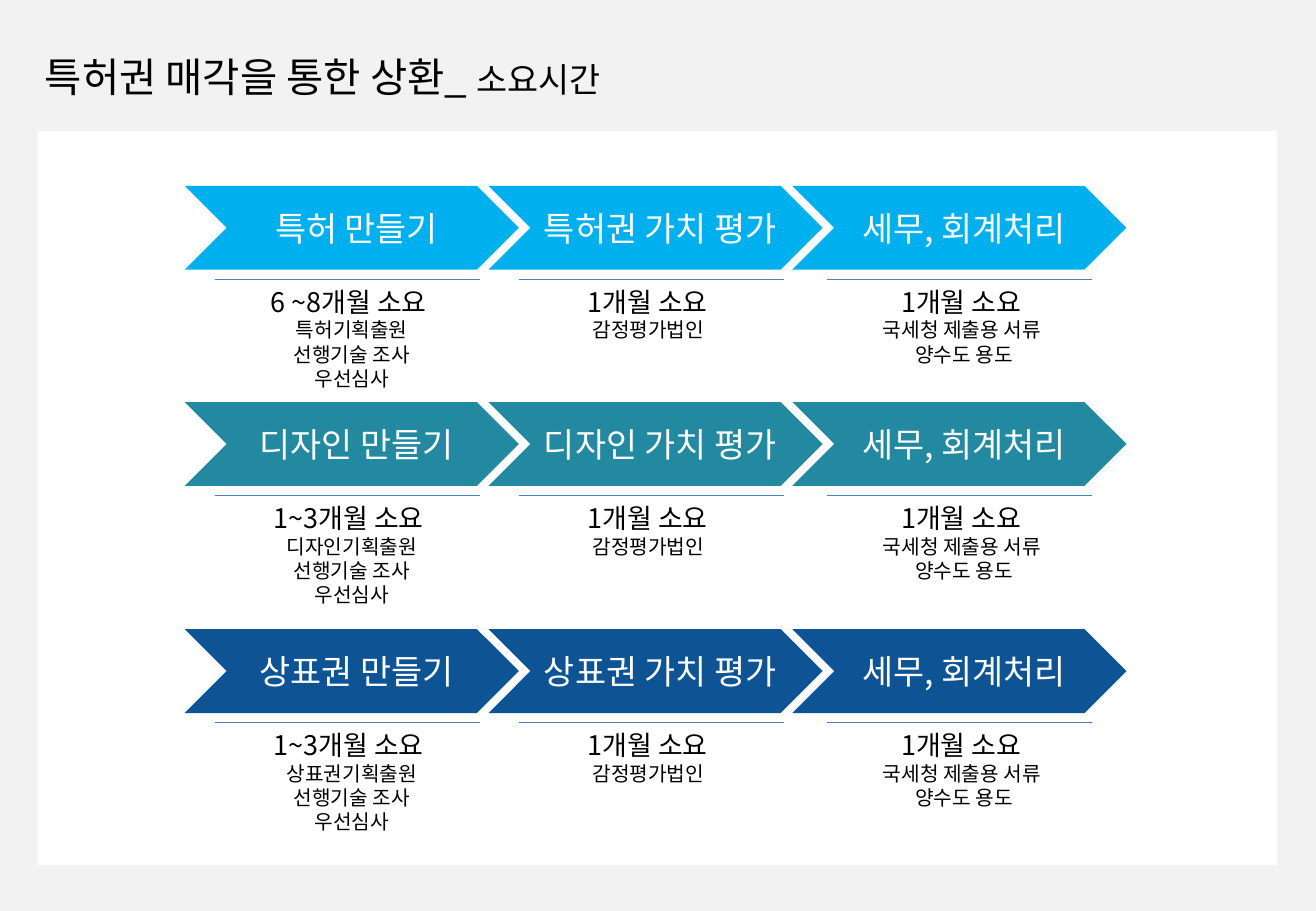
from pptx import Presentation
from pptx.dml.color import RGBColor
from pptx.enum import shapes as sh, text as tx
from pptx.oxml import ns
from pptx.util import Inches, Pt
from lxml import etree

FONT = "Noto Sans CJK KR"
HEX = {"back": "F2F2F2", "white": "FFFFFF", "black": "000000", "rule": "4B7EBC",
       "patent": "00B0EE", "design": "2389A1", "mark": "0E5494"}
TAX = ("세무, 회계처리", 6.52, 6.81, 6.96,
       ["1개월 소요 ", "국세청 제출용 서류 ", "양수도 용도"])
ROWS = [(1.53, "patent", "특허", "특허권", "6 ~8개월 소요 "),
        (3.31, "design", "디자인", "디자인", "1~3개월 소요 "),
        (5.18, "mark", "상표권", "상표권", "1~3개월 소요 ")]


def color(name):
    return RGBColor.from_string(HEX[name])


def add_run(para, words, size, ink):
    run = para.add_run()
    run.text = words
    run.font.name, run.font.size = FONT, Pt(size)
    run.font.color.rgb = color(ink)
    east = etree.SubElement(run.font._element, ns.qn("a:ea"))
    east.set("typeface", FONT)


def add_text(slide, box, lines, ink="black", align=tx.PP_ALIGN.CENTER,
             anchor=tx.MSO_ANCHOR.TOP):
    """Add a text box; each line is a list of (words, size) runs."""
    frame = slide.shapes.add_textbox(*map(Inches, box)).text_frame
    frame.word_wrap = True
    frame.vertical_anchor = anchor
    for i, runs in enumerate(lines):
        para = frame.add_paragraph() if i else frame.paragraphs[0]
        para.alignment = align
        para.line_spacing = Pt(1.2 * max(size for _, size in runs))
        for words, size in runs:
            add_run(para, words, size, ink)


def add_block(slide, kind, box, fill):
    shape = slide.shapes.add_shape(kind, *map(Inches, box))
    shape.shadow.inherit = False
    shape.fill.solid()
    shape.fill.fore_color.rgb = color(fill)
    shape.line.fill.background()


def add_rule(slide, left, top, width):
    rule = slide.shapes.add_connector(
        sh.MSO_CONNECTOR.STRAIGHT, Inches(left), Inches(top),
        Inches(left + width), Inches(top))
    rule.line.color.rgb = color("rule")
    rule.line.width = Pt(0.75)
    etree.SubElement(rule._element.spPr, ns.qn("a:effectLst"))


def add_head(slide, box):
    runs = [("특허권 매각을 통한 상환_ ", 24), ("소요시간", 20)]
    add_text(slide, box, [runs], align=tx.PP_ALIGN.LEFT,
             anchor=tx.MSO_ANCHOR.MIDDLE)


def add_step(slide, top, fill, step):
    """Add a chevron with its label, and the rule and notes below it."""
    label, left, rule, note, notes = step
    add_block(slide, sh.MSO_SHAPE.CHEVRON, (left, top, 2.75, 0.69), fill)
    add_text(slide, (left + 0.26, top + 0.13, 2.31, 0.44), [[(label, 20)]], "white")
    base = top + 0.77
    add_rule(slide, rule, base, 2.18)
    lines = [[(words, 12 if i else 16)] for i, words in enumerate(notes)]
    add_text(slide, (note, base, 1.95, 0.37 + 0.2 * (len(notes) - 1)), lines)


def add_row(slide, top, fill, name, right, time):
    make = (f"{name} 만들기", 1.52, 1.77, 1.92,
            [time, f"{name}기획출원", "선행기술 조사", "우선심사"])
    value = (f"{right} 가치 평가", 4.02, 4.27, 4.38,
             ["1개월 소요 ", "감정평가법인 "])
    for step in (make, value, TAX):
        add_step(slide, top, fill, step)


def main():
    deck = Presentation()
    deck.slide_width, deck.slide_height = Inches(10.83), Inches(7.5)
    slide = deck.slides.add_slide(deck.slide_layouts[6])
    slide.background.fill.solid()
    slide.background.fill.fore_color.rgb = color("back")
    add_block(slide, sh.MSO_SHAPE.RECTANGLE, (0.31, 1.08, 10.2, 6.04), "white")
    add_head(slide, (0.27, 0.32, 9.75, 0.62))
    for row in ROWS:
        add_row(slide, *row)
    deck.save("out.pptx")


if __name__ == "__main__":
    main()
